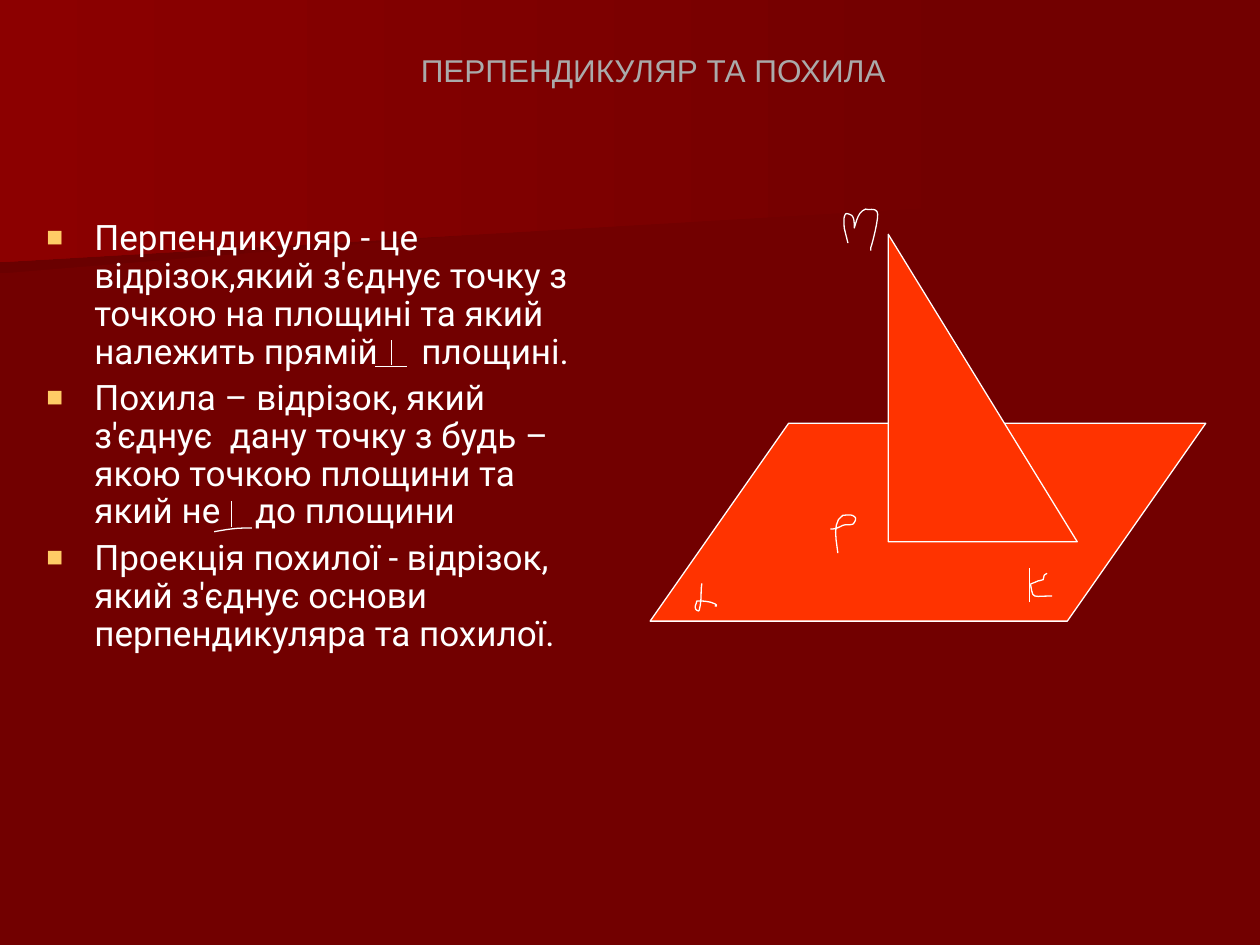
"""Build the slide on the perpendicular, the oblique and its projection."""
import dataclasses

import pptx
import pptx.dml.color
import pptx.enum.shapes
import pptx.enum.text
import pptx.oxml
import pptx.oxml.ns
import pptx.util

Point = tuple[float, float]
WHITE, GOLD, GREY = "FFFFFF", "FFCC66", "AAAAAA"
DARK, DARKER, GLOW, ORANGE = "720000", "6A0000", "8C0000", "FF3300"
LINE_WIDTH = pptx.util.Pt(0.75)
SHAPE = pptx.enum.shapes.MSO_SHAPE


@dataclasses.dataclass(frozen=True)
class Band:
    points: list[Point]
    end_color: str


@dataclasses.dataclass(frozen=True)
class Figure:
    kind: SHAPE
    box: tuple[float, float, float, float]
    adjustments: tuple[float, ...] = ()


@dataclasses.dataclass(frozen=True)
class Stroke:
    start: Point
    curves: list[tuple[float, float, float, float, float, float]]


BANDS = [
    Band([(7.78, 1.53), (0, 2.17), (0, 1.01), (7.79, 1.01), (7.78, 1.28)], DARKER),
    Band([(7.92, 1.62), (0, 2.08), (0, 0), (7.92, 0)], GLOW),
]
DEFINITIONS = [
    "Перпендикуляр - це відрізок,який з'єднує точку з точкою на площині та який належить прямій     площині.",
    "Похила – відрізок, який з'єднує  дану точку з будь – якою точкою площини та який не    до площини",
    "Проекція похилої - відрізок, який з'єднує основи перпендикуляра та похилої.",
]
FIGURES = [
    Figure(SHAPE.PARALLELOGRAM, (5.16, 3.36, 4.41, 1.57), (0.7,)),
    Figure(SHAPE.RIGHT_TRIANGLE, (7.05, 1.86, 1.5, 2.44)),
]
LINES = [
    ((3.11, 2.7), (3.11, 2.9)),
    ((2.98, 2.91), (3.23, 2.91)),
    ((1.84, 3.98), (1.84, 4.18)),
    ((8.17, 4.78), (8.17, 4.51)),
]
PERPENDICULAR_FOOT = Stroke((1.7, 4.22), [(1.82, 4.2, 1.86, 4.19, 2, 4.19)])
LETTER_M = Stroke((6.73, 1.93), [
    (6.72, 1.89, 6.71, 1.85, 6.7, 1.81), (6.7, 1.77, 6.69, 1.73, 6.71, 1.7),
    (6.72, 1.69, 6.74, 1.7, 6.76, 1.71), (6.78, 1.73, 6.78, 1.77, 6.78, 1.81),
    (6.8, 1.75, 6.81, 1.68, 6.87, 1.66), (6.9, 1.67, 6.94, 1.65, 6.96, 1.68),
    (6.98, 1.7, 6.94, 1.86, 6.93, 1.9), (6.91, 1.98, 6.91, 1.95, 6.91, 1.99)])
LETTER_K_ARM = Stroke((8.17, 4.64), [
    (8.19, 4.63, 8.22, 4.62, 8.24, 4.61), (8.25, 4.61, 8.28, 4.6, 8.28, 4.6),
    (8.29, 4.56, 8.28, 4.57, 8.31, 4.55)])
LETTER_K_LEG = Stroke((8.18, 4.64), [(8.2, 4.76, 8.19, 4.73, 8.35, 4.73)])
LETTER_P = Stroke((6.65, 4.39), [
    (6.64, 4.3, 6.6, 4.14, 6.69, 4.09), (6.72, 4.09, 6.76, 4.08, 6.78, 4.1),
    (6.8, 4.11, 6.79, 4.14, 6.77, 4.16), (6.75, 4.17, 6.72, 4.16, 6.69, 4.17),
    (6.65, 4.19, 6.63, 4.2, 6.59, 4.2)])
LETTER_ALPHA = Stroke((5.57, 4.63), [
    (5.56, 4.7, 5.57, 4.77, 5.55, 4.84), (5.55, 4.86, 5.52, 4.84, 5.52, 4.83),
    (5.51, 4.81, 5.53, 4.79, 5.53, 4.77), (5.57, 4.77, 5.6, 4.77, 5.64, 4.78),
    (5.74, 4.81, 5.64, 4.81, 5.69, 4.81)])
STROKES = [PERPENDICULAR_FOOT, LETTER_M, LETTER_K_ARM, LETTER_K_LEG, LETTER_P, LETTER_ALPHA]


def length(inches: float) -> pptx.util.Cm:
    """Turn inches into a length."""
    return pptx.util.Cm(inches * 2.54)


def rgb(value: str) -> pptx.dml.color.RGBColor:
    """Turn a hex string into a colour."""
    return pptx.dml.color.RGBColor.from_string(value)


def set_line(sp) -> None:
    """Give a shape the thin white line and no shadow."""
    sp.line.color.rgb = rgb(WHITE)
    sp.line.width = LINE_WIDTH


def add_path(s, points: list[Point], close: bool):
    """Draw a freeform through the points."""
    emu = [(length(x), length(y)) for x, y in points]
    builder = s.shapes.build_freeform(*emu[0], scale=1.0)
    builder.add_line_segments(emu[1:], close=close)
    sp = builder.convert_to_shape()
    sp.shadow.inherit = False
    return sp


def add_band(s, band: Band) -> None:
    """Draw a background band with a horizontal gradient."""
    sp = add_path(s, band.points, True)
    sp.line.fill.background()
    sp.fill.gradient()
    sp.fill.gradient_angle = 180
    for stop, color, position in zip(sp.fill.gradient_stops, (DARK, band.end_color), (0, 1)):
        stop.color.rgb = rgb(color)
        stop.position = position


def add_figure(s, figure: Figure) -> None:
    """Draw one geometric figure."""
    sp = s.shapes.add_shape(figure.kind, *map(length, figure.box))
    sp.shadow.inherit = False
    for i, value in enumerate(figure.adjustments):
        sp.adjustments[i] = value
    sp.fill.solid()
    sp.fill.fore_color.rgb = rgb(ORANGE)
    set_line(sp)


def add_line(s, start: Point, end: Point) -> None:
    """Draw a straight pen line."""
    sp = s.shapes.add_connector(
        pptx.enum.shapes.MSO_CONNECTOR.STRAIGHT, *map(length, start + end))
    set_line(sp)
    pptx.oxml.ns.qn("a:effectLst")
    sp.element.spPr.append(pptx.oxml.parse_xml(
        '<a:effectLst xmlns:a="http://schemas.openxmlformats.org/drawingml/2006/main"/>'))


def add_stroke(s, stroke: Stroke, steps: int = 6) -> None:
    """Draw a handwritten stroke by sampling its cubic curves."""
    points = [stroke.start]
    for x1, y1, x2, y2, x3, y3 in stroke.curves:
        x0, y0 = points[-1]
        for t in (i / steps for i in range(1, steps + 1)):
            weights = ((1 - t) ** 3, 3 * t * (1 - t) ** 2, 3 * t * t * (1 - t), t ** 3)
            points.append(tuple(sum(w * v for w, v in zip(weights, values))
                                for values in ((x0, x1, x2, x3), (y0, y1, y2, y3))))
    sp = add_path(s, points, False)
    sp.fill.background()
    set_line(sp)


def format_run(p, font: str, size: float, color: str) -> None:
    """Set the font of a paragraph's run."""
    r = p.runs[0]
    r.font.name = font
    r.font.size = pptx.util.Pt(size)
    r.font.color.rgb = rgb(color)


def set_bullet(p) -> None:
    """Give a paragraph a hanging square bullet."""
    pPr = p._p.get_or_add_pPr()
    pPr.set("marL", str(length(0.38)))
    pPr.set("indent", str(length(-0.38)))
    bullet = pptx.oxml.parse_xml(
        '<a:pPr xmlns:a="http://schemas.openxmlformats.org/drawingml/2006/main">'
        f'<a:buClr><a:srgbClr val="{GOLD}"/></a:buClr><a:buSzPct val="80000"/>'
        '<a:buFont typeface="Arial"/><a:buChar char="■"/></a:pPr>')
    pPr.extend(list(bullet))


def add_definitions(s) -> None:
    """Write the bulleted definitions."""
    tf = s.shapes.add_textbox(*map(length, (0.27, 1.7, 4.42, 4.95))).text_frame
    tf.word_wrap = True
    tf.text = "\n".join(DEFINITIONS)
    for p in tf.paragraphs:
        p.line_spacing = 0.9
        p.space_before = pptx.util.Pt(5)
        set_bullet(p)
        format_run(p, "Roboto", 20, WHITE)


def add_title(s) -> None:
    """Write the centred title."""
    tf = s.shapes.add_textbox(*map(length, (1.46, 0.36, 7.45, 0.57))).text_frame
    tf.word_wrap = False
    tf.text = "ПЕРПЕНДИКУЛЯР ТА ПОХИЛА"
    p = tf.paragraphs[0]
    p.alignment = pptx.enum.text.PP_ALIGN.CENTER
    format_run(p, "Arial", 18, GREY)


def main() -> None:
    """Build and save the slide."""
    prs = pptx.Presentation()
    prs.slide_width, prs.slide_height = length(10), length(7.5)
    s = prs.slides.add_slide(prs.slide_layouts[6])
    s.background.fill.solid()
    s.background.fill.fore_color.rgb = rgb(DARK)
    for band in BANDS:
        add_band(s, band)
    add_definitions(s)
    add_title(s)
    for figure in FIGURES:
        add_figure(s, figure)
    for start, end in LINES:
        add_line(s, start, end)
    for stroke in STROKES:
        add_stroke(s, stroke)
    prs.save("out.pptx")


if __name__ == "__main__":
    main()
